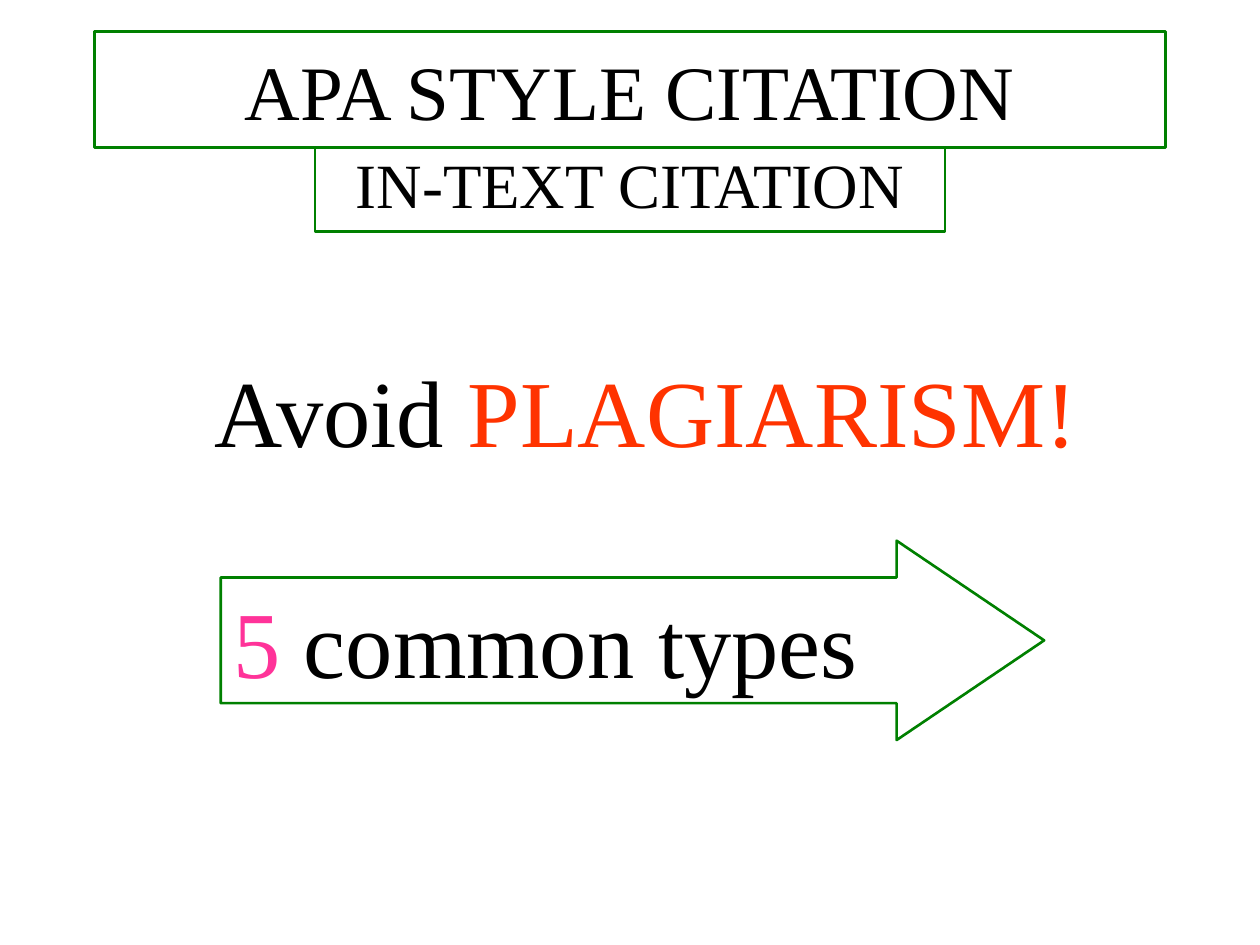
from dataclasses import dataclass

from lxml import etree
from pptx import Presentation
from pptx.dml.color import RGBColor
from pptx.enum.shapes import MSO_SHAPE
from pptx.enum.text import MSO_ANCHOR, PP_ALIGN
from pptx.oxml.ns import qn
from pptx.util import Cm, Pt

ARROW = MSO_SHAPE.RIGHT_ARROW
TOP, MIDDLE = MSO_ANCHOR.TOP, MSO_ANCHOR.MIDDLE
LEFT, CENTER = PP_ALIGN.LEFT, PP_ALIGN.CENTER
FONT = "Times New Roman"
BLACK, GREEN, RED, PINK = "000000", "008000", "FF3300", "FF3399"


@dataclass
class Part:
    """A block of text: box in cm, runs as (text, colour), size in points."""
    box: tuple[float, float, float, float]
    runs: list[tuple[str, str]]
    size: float
    align: PP_ALIGN = CENTER
    anchor: MSO_ANCHOR = TOP
    framed: bool = True
    pitch: float = 1.0


TITLE = Part((1.9, 0.64, 21.6, 2.33), [("APA STYLE CITATION", BLACK)], 44,
             anchor=MIDDLE)
TOPIC = Part((6.35, 2.97, 12.7, 1.7), [("IN-TEXT CITATION", BLACK)], 36,
             pitch=0.9)
ADVICE = Part((2.12, 6.98, 21.8, 2.54),
              [("Avoid ", BLACK), ("PLAGIARISM!", RED)], 54, framed=False)
TYPES = Part((4.45, 10.9, 16.6, 4.02),
             [("5", PINK), (" common types", BLACK)], 54,
             align=LEFT, anchor=MIDDLE)


def color(code: str) -> RGBColor:
    return RGBColor.from_string(code)


def draw(shape, part: Part) -> None:
    """Place a shape, outline it and write its single paragraph."""
    shape.left, shape.top, shape.width, shape.height = map(Cm, part.box)
    shape.fill.background()
    if part.framed:
        shape.line.color.rgb = color(GREEN)
        shape.line.width = Pt(1.5)

    frame = shape.text_frame
    frame.word_wrap = True
    frame.vertical_anchor = part.anchor
    para = frame.paragraphs[0]
    props = para._p.get_or_add_pPr()
    props.set("marL", "0")
    props.set("indent", "0")
    etree.SubElement(props, qn("a:buNone"))
    para.alignment = part.align
    para.line_spacing = part.pitch
    para.space_before = Pt(0)
    for text, code in part.runs:
        run = para.add_run()
        run.text = text
        run.font.name = FONT
        run.font.size = Pt(part.size)
        run.font.color.rgb = color(code)


def main() -> None:
    deck = Presentation()
    deck.slide_width, deck.slide_height = Cm(25.4), Cm(19.05)
    # Two Content layout: a title and two bodies
    slide = deck.slides.add_slide(deck.slide_layouts[3])

    # Heading and message
    for index, part in enumerate((TITLE, TOPIC, ADVICE)):
        draw(slide.placeholders[index], part)

    # Arrow leading to the types
    arrow = slide.shapes.add_shape(ARROW, *map(Cm, TYPES.box))
    arrow.shadow.inherit = False
    arrow.adjustments[0] = 0.63
    arrow.adjustments[1] = 0.74
    draw(arrow, TYPES)

    deck.save("out.pptx")


if __name__ == "__main__":
    main()
